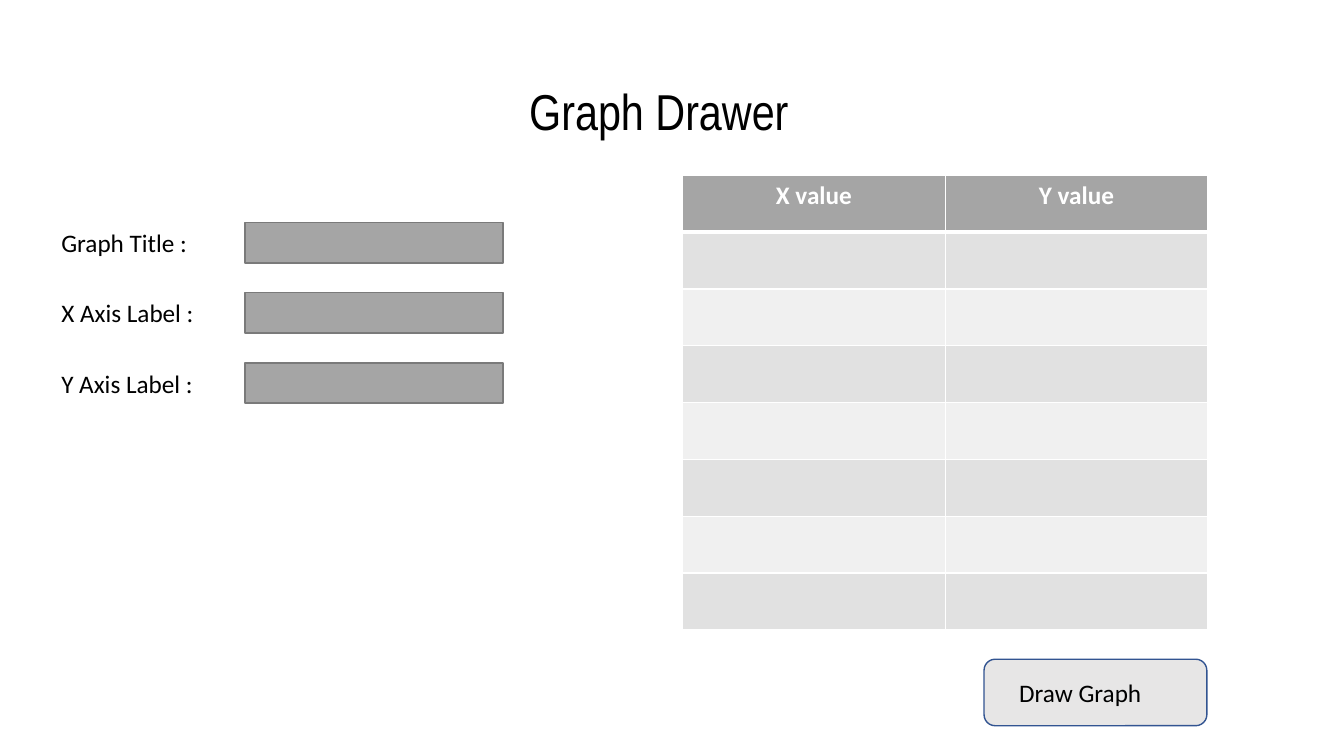
from lxml.etree import SubElement
from pptx import Presentation
from pptx.dml.color import RGBColor
from pptx.enum.shapes import MSO_SHAPE as SHAPE
from pptx.enum.text import MSO_AUTO_SIZE, PP_ALIGN
from pptx.oxml.ns import qn
from pptx.util import Inches, Pt

COLORS = {
    "text": "000000", "white": "FFFFFF", "gray": "A5A5A5", "gray_line": "7A7A7A",
    "band_dark": "E1E1E1", "band_light": "F0F0F0",
    "button": "E7E6E6", "button_line": "325491",
}
BODY = {"name": "Calibri", "size": Pt(18)}
TITLE = {"name": "Arial Narrow", "size": Pt(36)}
HEADER = {**BODY, "bold": True}
FIELDS = ["Graph Title :", "X Axis Label :", "Y Axis Label :"]
HEADINGS = ["X value", "Y value"]
ROWS = 8


def rgb(name):
    return RGBColor.from_string(COLORS[name])


def write(p, text, style, color="text"):
    r = p.add_run()
    r.text = text
    for key, value in style.items():
        setattr(r.font, key, value)
    r.font.color.rgb = rgb(color)


def add_text(slide, box, text, style):
    tf = slide.shapes.add_textbox(*map(Inches, box)).text_frame
    tf.word_wrap = True
    tf.auto_size = MSO_AUTO_SIZE.SHAPE_TO_FIT_TEXT
    write(tf.paragraphs[0], text, style)


def add_box(slide, kind, box, fill, line):
    sp = slide.shapes.add_shape(kind, *map(Inches, box))
    sp.shadow.inherit = False
    sp.fill.solid()
    sp.fill.fore_color.rgb = rgb(fill)
    sp.line.color.rgb = rgb(line)
    sp.line.width = Pt(1)


def set_borders(cell, bottom):
    """Draw white borders, 1 pt wide except for the bottom one."""
    tc_pr = cell._tc.get_or_add_tcPr()
    widths = {"a:lnL": 1, "a:lnR": 1, "a:lnT": 1, "a:lnB": bottom}
    for index, (tag, width) in enumerate(widths.items()):
        ln = SubElement(tc_pr, qn(tag), w=str(Pt(width)))
        tc_pr.insert(index, ln)
        fill = SubElement(ln, qn("a:solidFill"))
        SubElement(fill, qn("a:srgbClr"), val=COLORS["white"])


def add_value_table(slide, box):
    frame = slide.shapes.add_table(ROWS, len(HEADINGS), *map(Inches, box))
    table = frame.table
    for row in range(ROWS):
        band = "band_dark" if row % 2 else "band_light"
        for col, heading in enumerate(HEADINGS):
            cell = table.cell(row, col)
            cell.fill.solid()
            cell.fill.fore_color.rgb = rgb(band if row else "gray")
            # The header rule is shared with the top of the first data row.
            set_borders(cell, 1 if row else 3)
            if row == 0:
                p = cell.text_frame.paragraphs[0]
                p.alignment = PP_ALIGN.CENTER
                write(p, heading, HEADER, "white")


def main():
    prs = Presentation()
    prs.slide_width, prs.slide_height = Inches(13.33), Inches(7.5)
    slide = prs.slides.add_slide(prs.slide_layouts[6])

    add_text(slide, (5.15, 0.75, 3.04, 0.71), "Graph Drawer", TITLE)
    add_value_table(slide, (6.77, 1.74, 5.21, 4.51))
    for i, label in enumerate(FIELDS):
        top = 2.21 + 0.695 * i
        add_text(slide, (0.51, top, 1.64, 0.4), label, BODY)
        add_box(slide, SHAPE.RECTANGLE, (2.43, top, 2.56, 0.4), "gray", "gray_line")
    add_box(slide, SHAPE.ROUNDED_RECTANGLE, (9.76, 6.54, 2.21, 0.66),
            "button", "button_line")
    add_text(slide, (10.01, 6.67, 1.71, 0.4), "Draw Graph", BODY)

    prs.save("out.pptx")


if __name__ == "__main__":
    main()
